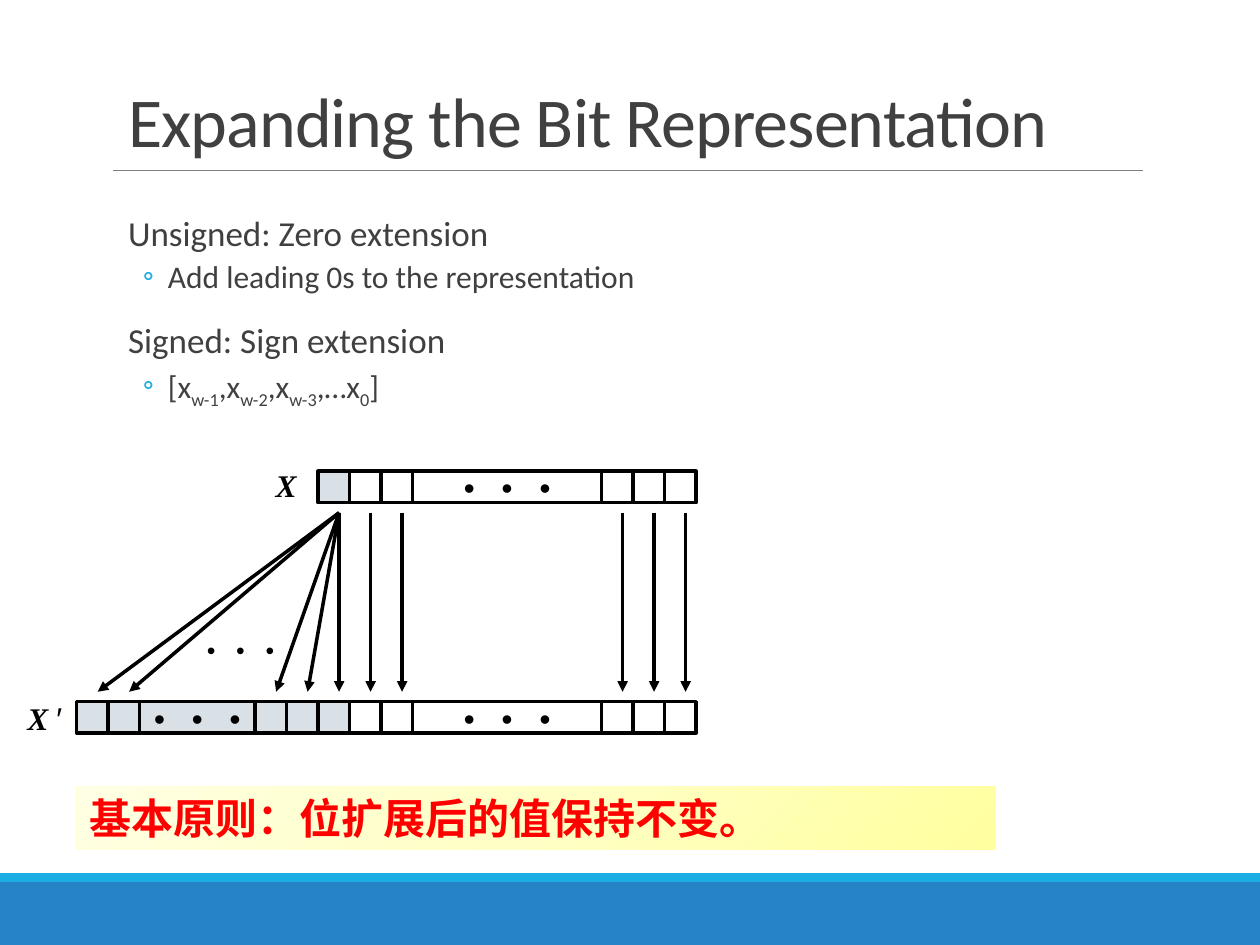
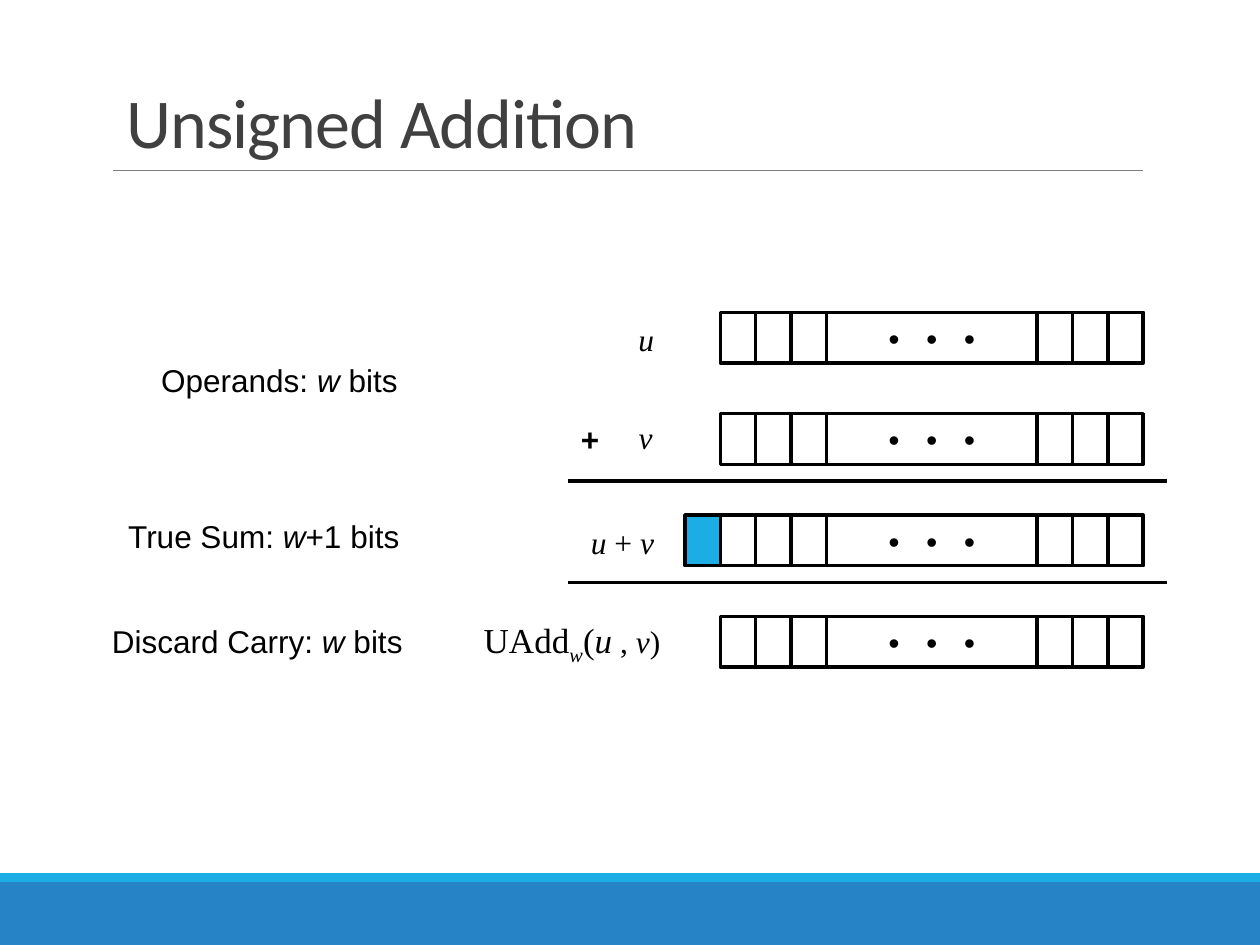
from copy import deepcopy

from lxml import etree
from pptx import Presentation
from pptx.dml.color import RGBColor
from pptx.enum import shapes, text
from pptx.oxml import ns
from pptx.util import Pt

# Shared colours, fonts and words
BLUE, SKY, GREY, INK = "2683C6", "1CADE4", "808080", "404040"
BLACK, WHITE, SIGN, RED = "000000", "FFFFFF", "D9E0E6", "FF0000"
SANS, SERIF, MONO, LABEL = "Calibri", "Times New Roman", "Courier New", "Arial"
DOTS = chr(160).join("•••")  # no-break spaces keep the dots on one line
ITALIC = {"italic": True}
SUB = {"baseline": -25000}


def rgb(colour):
    return RGBColor.from_string(colour)


def set_font(font, name, size, colour, **traits):
    font.name, font.size = name, Pt(size)
    font.color.rgb = rgb(colour)
    for trait, value in traits.items():
        setattr(font, trait, value)


def add_spans(para, spans):
    """Add runs given as plain strings or (words, traits) pairs."""
    for item in spans:
        words, traits = (item, {}) if isinstance(item, str) else item
        span = para.add_run()
        span.text = words
        for trait, value in traits.items():
            if trait == "baseline":
                span.font._element.set("baseline", str(value))
            else:
                setattr(span.font, trait, value)


def add_box(slide, left, top, width, height, fill=None, outlined=False):
    box = slide.shapes.add_shape(shapes.MSO_SHAPE.RECTANGLE,
                                 Pt(left), Pt(top), Pt(width), Pt(height))
    box.shadow.inherit = False
    if fill:
        box.fill.solid()
        box.fill.fore_color.rgb = rgb(fill)
    if outlined:
        box.line.color.rgb = rgb(BLACK)
        box.line.width = Pt(2)
    else:
        box.line.fill.background()
    return box


def add_line(slide, x1, y1, x2, y2, colour=BLACK, weight=2, arrow=False):
    line = slide.shapes.add_connector(shapes.MSO_CONNECTOR.STRAIGHT,
                                      Pt(x1), Pt(y1), Pt(x2), Pt(y2))
    line.line.color.rgb = rgb(colour)
    line.line.width = Pt(weight)
    props = line._element.spPr
    if arrow:
        etree.SubElement(props.find(ns.qn("a:ln")), ns.qn("a:tailEnd"), type="triangle")
    etree.SubElement(props, ns.qn("a:effectLst"))


def add_label(slide, left, top, width, spans, font=SERIF, size=18, height=29,
              align=text.PP_ALIGN.LEFT, wrap=False, **traits):
    box = slide.shapes.add_textbox(Pt(left), Pt(top), Pt(width), Pt(height))
    frame = box.text_frame
    frame.word_wrap = wrap
    frame.auto_size = text.MSO_AUTO_SIZE.SHAPE_TO_FIT_TEXT
    para = frame.paragraphs[0]
    para.alignment = align
    set_font(para.font, font, size, BLACK, **traits)
    add_spans(para, spans)


def bits(count, size, fill=WHITE):
    return [(size, fill, False)] * count


def middle(width, fill=WHITE):
    return [(width, fill, True)]


def add_bit_row(slide, left, top, height, fields):
    """Draw adjoining fields; return the left edges of the single bits."""
    edges = []
    for width, fill, dotted in fields:
        box = add_box(slide, left, top, width, height, fill, outlined=True)
        if dotted:
            frame = box.text_frame
            frame.word_wrap = False
            frame.vertical_anchor = text.MSO_ANCHOR.MIDDLE
            para = frame.paragraphs[0]
            para.alignment = text.PP_ALIGN.CENTER
            set_font(para.font, MONO, 18, BLACK)
            add_spans(para, [DOTS])
        else:
            edges.append(left)
        left += width
    return edges


def place(holder, left, top, width, height):
    holder.left, holder.top = Pt(left), Pt(top)
    holder.width, holder.height = Pt(width), Pt(height)
    holder.text_frame.auto_size = text.MSO_AUTO_SIZE.NONE
    return holder.text_frame


def add_page(deck, layout, title, left, top, width, height):
    """Start a page with the common bands, rule and title."""
    page = deck.slides.add_slide(deck.slide_layouts[layout])
    add_box(page, 0, 504, 720, 36, BLUE)
    add_box(page, 0, 499, 720, 5, SKY)
    add_line(page, 64.8, 97.2, 653, 97.2, GREY, 0.5)
    frame = place(page.shapes.title, left, top, width, height)
    frame.vertical_anchor = text.MSO_ANCHOR.BOTTOM
    para = frame.paragraphs[0]
    para.alignment = text.PP_ALIGN.LEFT
    para.line_spacing = 0.85
    set_font(para.font, SANS, 40, INK)
    add_spans(para, [title])
    para.runs[0].font._element.set("spc", "-50")
    return page


def add_list(page, items):
    frame = place(page.placeholders[1], 66, 120, 624, 348)
    frame.margin_left = frame.margin_right = 0
    for index, (level, spans) in enumerate(items):
        para = frame.add_paragraph() if index else frame.paragraphs[0]
        para.level = level
        para.line_spacing = 0.9
        para.space_before = Pt((2 if level else 12) if index else 0)
        para.space_after = Pt(4 if level else 2)
        props = para._element.get_or_add_pPr()
        props.set("marL", str(Pt(30 if level else 7.2)))
        props.set("indent", str(Pt(-14.4 if level else 0)))
        if level:
            colour = etree.SubElement(props, ns.qn("a:buClr"))
            etree.SubElement(colour, ns.qn("a:srgbClr"), val=SKY)
            etree.SubElement(props, ns.qn("a:buFont"), typeface=SANS)
            etree.SubElement(props, ns.qn("a:buChar"), char="◦")
        else:
            etree.SubElement(props, ns.qn("a:buNone"))
        set_font(para.font, SANS, 18 if level else 20, INK)
        add_spans(para, spans)


def add_principle(page, words):
    box = add_box(page, 44, 449.3, 525, 36.3)
    box.fill.gradient()
    box.fill.gradient_angle = 135
    for stop, colour, position in zip(box.fill.gradient_stops, ("FFFFA0", "FFFFE3"), (0, 1)):
        stop.color.rgb = rgb(colour)
        stop.position = position
    # Middle stop
    first = next(box._element.spPr.iter(ns.qn("a:gs")))
    centre = deepcopy(first)
    centre.set("pos", "50000")
    centre[0].set("val", "FFFFC5")
    first.addnext(centre)
    box.text_frame.word_wrap = True
    box.text_frame.vertical_anchor = text.MSO_ANCHOR.TOP
    para = box.text_frame.paragraphs[0]
    para.alignment = text.PP_ALIGN.LEFT
    set_font(para.font, SANS, 24, RED, bold=True)
    add_spans(para, [words])


def build_expansion(deck):
    page = add_page(deck, 1, "Expanding the Bit Representation", 66, 24, 588, 72)
    add_list(page, [
        (0, ["Unsigned: Zero extension"]),
        (1, ["Add leading 0s to the representation"]),
        (0, ["Signed: Sign extension"]),
        (1, ["[x", ("w-1", SUB), ",x", ("w-2", SUB), ",x", ("w-3", SUB),
             ",…x", ("0", SUB), "]"]),
    ])
    # Short word X above its extended form
    cell = 18
    word = bits(1, cell, SIGN) + bits(2, cell) + middle(108) + bits(3, cell)
    extension = bits(2, cell, SIGN) + middle(66, SIGN) + bits(2, cell, SIGN)
    short = add_bit_row(page, 181.8, 269.3, cell, word)
    extended = add_bit_row(page, 43.8, 401, cell, extension + word)
    add_label(page, 150.5, 263, 31, ["X"], bold=True, italic=True)
    add_label(page, 8.6, 396, 35.3,
              ["X ", ("′", {"name": LABEL, "bold": False, "italic": False})],
              bold=True, italic=True)
    # The sign bit is copied into every added bit
    sources = short[:1] * (len(extended) - len(short)) + short
    for source, target in zip(sources, extended):
        add_line(page, source + 12, 293, target + 12, 395.3, arrow=True)
    add_label(page, 109.4, 359.3, 64, [DOTS], MONO, 14, 23.8)
    add_principle(page, "基本原则：位扩展后的值保持不变。")


def build_addition(deck):
    page = add_page(deck, 5, "Unsigned Addition", 65, 1, 594, 95.5)
    # Operands, sum and result
    cell, height, left, top, pitch = 20.2, 29, 411.6, 178.5, 57.9
    word = bits(3, cell) + middle(120.5) + bits(3, cell)
    for row in range(4):
        carry = row == 2
        fields = bits(1, cell, SKY) + word if carry else word
        add_bit_row(page, left - cell * carry, top + row * pitch, height, fields)
    for row in (2, 3):
        y = top + row * pitch - 19.3
        add_line(page, 324.7, y, 666.7, y)
    # Formula labels
    right = text.PP_ALIGN.RIGHT
    add_label(page, 357.8, 179.3, 23.8, ["u"], italic=True)
    add_label(page, 357.8, 235.5, 22.3, ["v"], italic=True)
    add_label(page, 324.7, 236.2, 25.2, ["+"], MONO, bold=True)
    add_label(page, 330.5, 295.2, 50.4, [("u ", ITALIC), "+ ", ("v", ITALIC)], align=right)
    small = {"size": Pt(18)}
    add_label(page, 267.8, 350, 116.6,
              ["UAdd", ("w", ITALIC | SUB), "(", ("u", ITALIC), (" , ", small),
               ("v", small | ITALIC), (")", small)], size=20, height=31, align=right)
    # Row captions
    for x, y, width, lead, tail, wrap in [
            (85, 203, 149.8, "Operands: ", " bits", False),
            (66.2, 291.6, 190, "True Sum: ", "+1 bits", True),
            (56.9, 352, 214.6, "Discard Carry: ", " bits", True)]:
        add_label(page, x, y, width, [lead, ("w", ITALIC), tail], LABEL, wrap=wrap)


def main():
    deck = Presentation()
    deck.slide_width, deck.slide_height = Pt(720), Pt(540)
    build_expansion(deck)
    build_addition(deck)
    deck.save("out.pptx")


if __name__ == "__main__":
    main()
